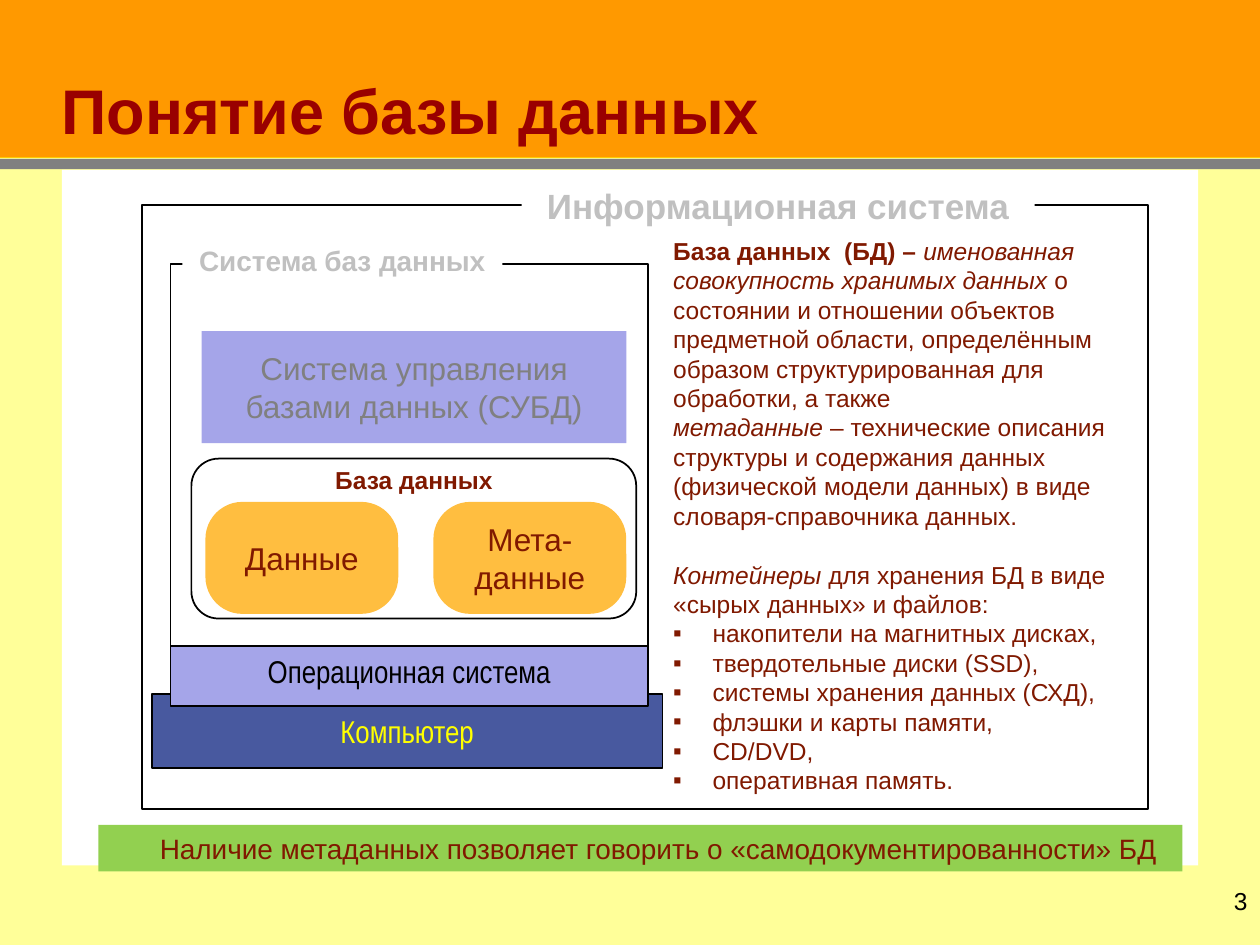
import pptx
import pptx.util
import pptx.dml.color
import pptx.enum.shapes
import pptx.enum.text
import pptx.oxml.ns
import lxml.etree

Pt = pptx.util.Pt
RECT = pptx.enum.shapes.MSO_SHAPE.RECTANGLE
ROUND = pptx.enum.shapes.MSO_SHAPE.ROUNDED_RECTANGLE
LEFT, CENTER, RIGHT = (pptx.enum.text.PP_ALIGN.LEFT, pptx.enum.text.PP_ALIGN.CENTER,
                       pptx.enum.text.PP_ALIGN.RIGHT)
TOP, MIDDLE, BOTTOM = (pptx.enum.text.MSO_ANCHOR.TOP, pptx.enum.text.MSO_ANCHOR.MIDDLE,
                       pptx.enum.text.MSO_ANCHOR.BOTTOM)

BROWN, BLACK, WHITE = "801900", "000000", "FFFFFF"
ORANGE, AMBER, LILAC = "FF9900", "FFBE40", "A5A5E9"
PALE, GREY = "C0C0C0", "808080"


def color(value):
    return pptx.dml.color.RGBColor.from_string(value)


def sub(parent, tag, **attributes):
    return lxml.etree.SubElement(parent, pptx.oxml.ns.qn(tag), **attributes)


class SlideBuilder:
    font_name = "Arial"
    line_width = 1

    def __init__(self, slide):
        self.slide = slide

    def box(self, left, top, width, height, fill=None, line=None, kind=RECT, corner=None):
        shape = self.slide.shapes.add_shape(kind, Pt(left), Pt(top), Pt(width), Pt(height))
        shape.shadow.inherit = False
        if corner is not None:
            shape.adjustments[0] = corner
        if fill:
            shape.fill.solid()
            shape.fill.fore_color.rgb = color(fill)
        else:
            shape.fill.background()
        if line:
            shape.line.color.rgb = color(line)
            shape.line.width = Pt(self.line_width)
        else:
            shape.line.fill.background()
        return shape

    def rule(self, x1, y1, x2, y2, line):
        connector = self.slide.shapes.add_connector(
            pptx.enum.shapes.MSO_CONNECTOR.STRAIGHT, Pt(x1), Pt(y1), Pt(x2), Pt(y2))
        connector.line.color.rgb = color(line)
        connector.line.width = Pt(self.line_width)
        sub(connector._element.spPr, "a:effectLst")

    def text_box(self, left, top, width, height):
        return self.slide.shapes.add_textbox(Pt(left), Pt(top), Pt(width), Pt(height))

    def style(self, paragraph, size, ink, bold=None, font_name=None):
        paragraph.font.name = font_name or self.font_name
        paragraph.font.size = Pt(size)
        paragraph.font.color.rgb = color(ink)
        if bold is not None:
            paragraph.font.bold = bold

    def label(self, shape, text, size, ink, bold=False, align=CENTER, anchor=MIDDLE,
              font_name=None, indent=0):
        frame = shape.text_frame
        frame.word_wrap = True
        frame.vertical_anchor = anchor
        paragraph = frame.paragraphs[0]
        paragraph.text = text
        paragraph.alignment = align
        if indent:
            paragraph._p.get_or_add_pPr().set("marL", str(Pt(indent)))
        self.style(paragraph, size, ink, bold, font_name)
        return paragraph

    def rich_text(self, shape, paragraphs, size, ink):
        """Each paragraph is (space before, bullet, runs); a run is (text, style letters)."""
        frame = shape.text_frame
        frame.word_wrap = True
        for number, (space, bullet, runs) in enumerate(paragraphs):
            paragraph = frame.add_paragraph() if number else frame.paragraphs[0]
            if space:
                paragraph.space_before = Pt(space)
            if bullet:
                properties = paragraph._p.get_or_add_pPr()
                properties.set("marL", str(Pt(22.5)))
                properties.set("indent", str(-Pt(22.5)))
                sub(properties, "a:buFont", typeface=self.font_name)
                sub(properties, "a:buChar", char=bullet)
            self.style(paragraph, size, ink)
            for text, letters in runs:
                if text == "\n":
                    paragraph.add_line_break()
                    continue
                run = paragraph.add_run()
                run.text = text
                if "b" in letters:
                    run.font.bold = True
                if "i" in letters:
                    run.font.italic = True


def main():
    presentation = pptx.Presentation()
    presentation.slide_width, presentation.slide_height = Pt(720), Pt(540)
    slide = presentation.slides.add_slide(presentation.slide_layouts[6])
    page = SlideBuilder(slide)

    # Background bands and title
    page.box(0, 0, 720, 90, ORANGE)
    page.box(0, 90, 720, 450, "FFFF99")
    page.box(0, 90.8, 720, 5.8, "808080")
    page.rule(0, 90, 720, 90, "FFCC00")
    page.box(35.3, 97, 649.4, 397.5, WHITE)
    title = page.label(page.box(0, 4.1, 720, 84.2, ORANGE), "Понятие базы данных", 36,
                       "990000", True, LEFT, BOTTOM, indent=28)
    title.line_spacing = 0.9
    page.label(page.text_box(645.8, 502.6, 74.2, 37.4), "3", 14, BLACK,
               align=RIGHT, anchor=TOP)

    # Database management system and the contents of the database
    page.label(page.box(115.2, 189.2, 242.8, 64, LILAC),
               "Система управления базами данных (СУБД)", 18, GREY)
    for left, content in ((117.4, "Данные"), (247.7, "Мета-данные")):
        page.label(page.box(left, 286.8, 110.2, 64, AMBER, kind=ROUND, corner=0.33),
                   content, 18, BROWN)

    # Frames with captions set into the top edge
    frames = (
        ((97.4, 151, 272.9, 225.4), (104.2, 135.4, 182.9, 26.6), "Система баз данных", 16),
        ((81.2, 117.2, 574.8, 344.9), (298, 101.3, 293.2, 31.7), "Информационная система", 20),
    )
    for frame, caption, name, size in frames:
        page.box(*frame, line=BLACK)
        page.label(page.box(*caption, fill=WHITE), name, size, PALE, True)

    # Computer and operating system
    page.label(page.box(86.8, 396.7, 291.8, 42, "48599F", BLACK), "Компьютер", 18, "FFFF00",
               font_name="Arial Narrow")
    page.label(page.box(97.4, 369.2, 272.9, 34.2, LILAC, BLACK), "Операционная система", 18,
               BLACK, anchor=TOP, font_name="Arial Narrow")

    # Conclusion
    page.label(page.box(56.2, 471.4, 619.4, 26.6, "92D050"),
               "Наличие метаданных позволяет говорить о «самодокументированности» БД",
               16, BROWN, align=LEFT, indent=28)

    # Definition and storage containers
    containers = ("накопители на магнитных дисках,", "твердотельные диски (SSD),",
                  "системы хранения данных (СХД),", "флэшки и карты памяти,",
                  "CD/DVD,", "оперативная память.")
    definition = [
        (0, None, [
            ("База данных\u00a0 (БД) – ", "b"),
            ("именованная совокупность хранимых данных", "i"),
            (" о состоянии и отношении объектов предметной области, определённым образом "
             "структурированная для обработки, а также ", ""),
            ("\n", ""),
            ("метаданные", "i"),
            (" – технические описания структуры и содержания данных (физической модели "
             "данных) в виде словаря-справочника данных.", "")]),
        (16.8, None, [("Контейнеры", "i"), (" для хранения БД в виде", "")]),
        (0, None, [("«сырых данных» и файлов:", "")]),
    ] + [(0, "▪", [(container, "")]) for container in containers]
    page.rich_text(page.text_box(377.6, 131.3, 278.6, 329.8), definition, 14, BROWN)

    # Database outline and heading
    page.box(109.4, 262.1, 254.2, 91.4, line=BLACK, kind=ROUND, corner=0.17)
    page.label(page.text_box(175, 262.1, 123.1, 24.5), "База данных", 14, BROWN, True,
               anchor=TOP)

    presentation.save("out.pptx")


if __name__ == "__main__":
    main()
